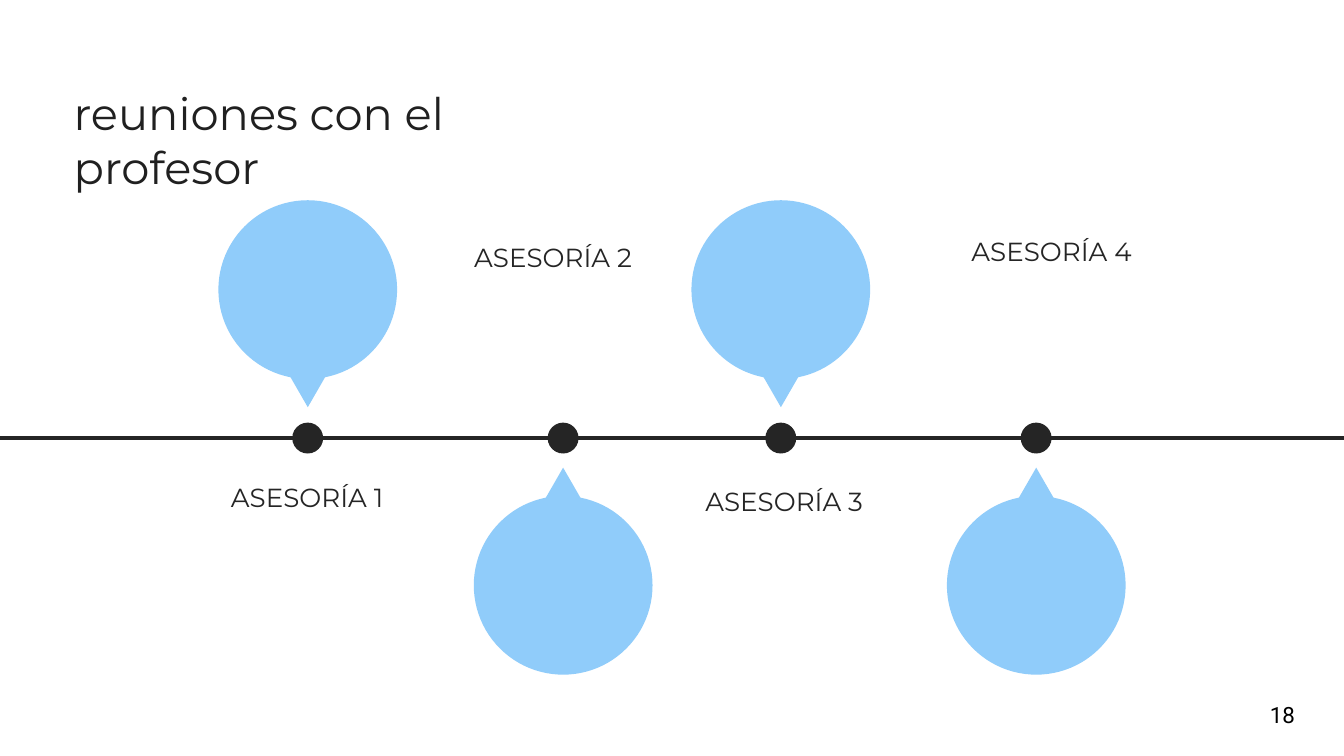
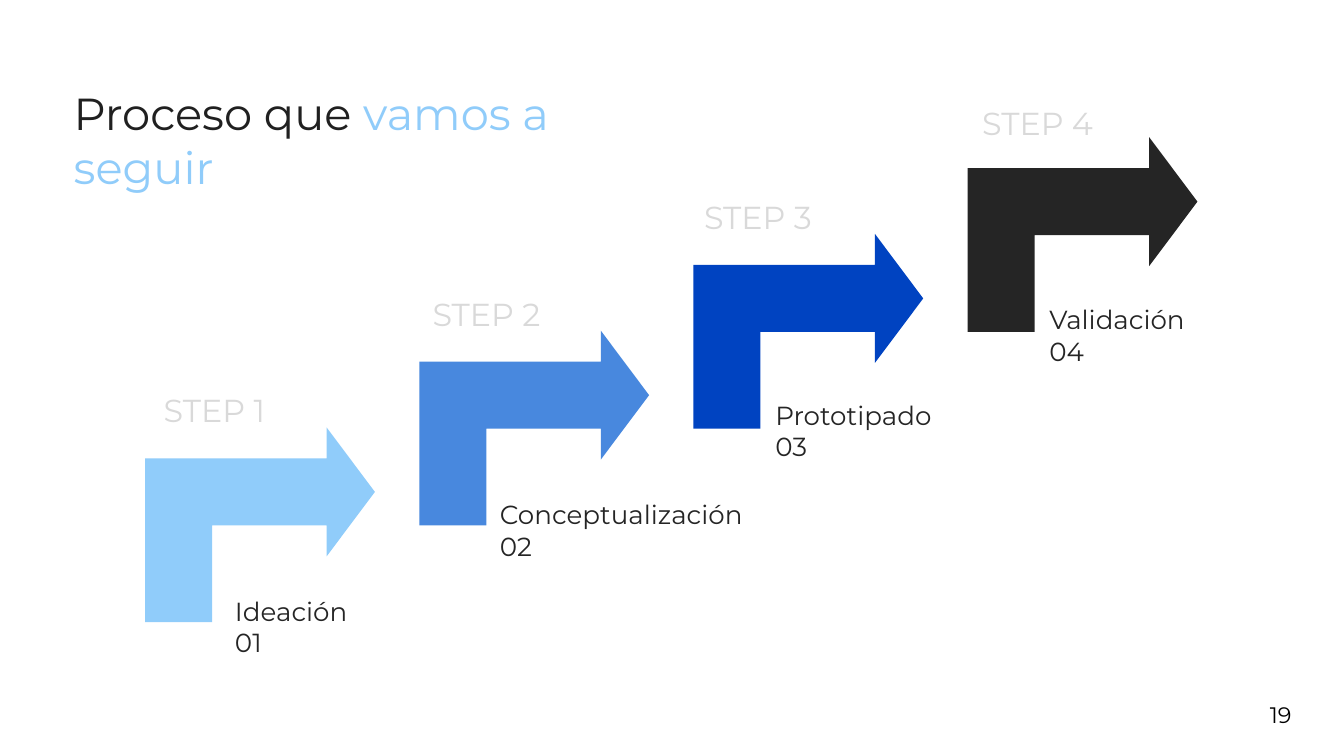
from lxml import etree
from pptx import Presentation
from pptx.dml.color import RGBColor
from pptx.enum.shapes import MSO_CONNECTOR, MSO_SHAPE
from pptx.enum.text import MSO_ANCHOR
from pptx.oxml.ns import qn
from pptx.util import Inches, Pt

ELLIPSE = MSO_SHAPE.OVAL
TRIANGLE = MSO_SHAPE.ISOSCELES_TRIANGLE
BENT_ARROW = MSO_SHAPE.BENT_UP_ARROW
STRAIGHT = MSO_CONNECTOR.STRAIGHT
TOP, MIDDLE, BOTTOM = MSO_ANCHOR.TOP, MSO_ANCHOR.MIDDLE, MSO_ANCHOR.BOTTOM

DARK = RGBColor(0x25, 0x25, 0x25)
TITLE_DARK = RGBColor(0x20, 0x20, 0x20)
BLACK = RGBColor(0x00, 0x00, 0x00)
WHITE = RGBColor(0xFF, 0xFF, 0xFF)
GRAY = RGBColor(0xD9, 0xD9, 0xD9)
LIGHT_BLUE = RGBColor(0x90, 0xCC, 0xFA)
MID_BLUE = RGBColor(0x48, 0x88, 0xDE)
DEEP_BLUE = RGBColor(0x00, 0x43, 0xC1)

MAIN_FONT = "Montserrat"
NUMBER_FONT = "Roboto"

SLIDE_WIDTH = Inches(10)
SLIDE_HEIGHT = SLIDE_WIDTH * 9 // 16

LINE_Y = 3.26
BALL_SIZE = 1.33
TIP_WIDTH, TIP_HEIGHT = 0.38, 0.33
DOT_SIZE = 0.23
ARROW_WIDTH, ARROW_HEIGHT = 1.45, 1.71
ARROW_STEP_X, ARROW_STEP_Y = 2.04, 0.72

# centre of the dot, bubble above the line, label, label box (left, top, width)
MEETINGS = [
    (2.29, True, "ASESORÍA 1", (1.62, 3.48, 1.41)),
    (4.19, False, "ASESORÍA 2", (3.43, 1.70, 1.5)),
    (5.81, True, "ASESORÍA 3", (5.15, 3.51, 1.5)),
    (7.71, False, "ASESORÍA 4", (7.13, 1.65, 1.5)),
]

# colour, name, name box (left, top, width, height), step label (left, top)
STEPS = [
    (LIGHT_BLUE, "Ideación", (1.65, 4.33, 1.92, 0.79), (1.12, 2.81)),
    (MID_BLUE, "Conceptualización", (3.62, 3.61, 2.12, 1.19), (3.12, 2.09)),
    (DEEP_BLUE, "Prototipado", (5.67, 2.87, 1.92, 1.19), (5.14, 1.37)),
    (DARK, "Validación", (7.71, 2.16, 1.92, 1.19), (7.21, 0.67)),
]


def add_text(slide, left, top, width, height, runs, size,
             font=MAIN_FONT, anchor=TOP):
    """Add a one-paragraph text box; runs is a list of (text, colour)."""
    box = slide.shapes.add_textbox(Inches(left), Inches(top),
                                   Inches(width), Inches(height))
    frame = box.text_frame
    frame.word_wrap = True
    frame.vertical_anchor = anchor
    frame.margin_left = frame.margin_right = Inches(0.1)
    frame.margin_top = frame.margin_bottom = Inches(0.1)
    paragraph = frame.paragraphs[0]
    paragraph.font.name = font
    paragraph.font.size = Pt(size)
    if len(runs) == 1:
        paragraph.text, paragraph.font.color.rgb = runs[0]
        return
    for text, color in runs:
        run = paragraph.add_run()
        run.text = text
        run.font.color.rgb = color


def add_filled(shapes, kind, left, top, width, height, color, rotation=0):
    shape = shapes.add_shape(kind, Inches(left), Inches(top),
                             Inches(width), Inches(height))
    shape.shadow.inherit = False
    shape.fill.solid()
    shape.fill.fore_color.rgb = color
    shape.line.fill.background()
    shape.rotation = rotation
    return shape


def add_bubble(slide, center, above):
    """Group a ball with a tip that points at the timeline."""
    ball_top, tip_top, tip_turn = (1.49, 2.7, 180) if above else (3.69, 3.48, 0)
    shapes = slide.shapes.add_group_shape().shapes
    add_filled(shapes, ELLIPSE, center - BALL_SIZE / 2, ball_top,
               BALL_SIZE, BALL_SIZE, LIGHT_BLUE, 180 - tip_turn)
    add_filled(shapes, TRIANGLE, center - TIP_WIDTH / 2, tip_top,
               TIP_WIDTH, TIP_HEIGHT, LIGHT_BLUE, tip_turn)


def add_timeline(slide):
    line = slide.shapes.add_connector(STRAIGHT, Inches(-0.01), Inches(LINE_Y),
                                      Inches(10.02), Inches(LINE_Y))
    line.line.color.rgb = DARK
    line.line.width = Pt(2.25)
    etree.SubElement(line.element.spPr, qn("a:effectLst"))


def add_step_arrow(slide, index, color):
    arrow = add_filled(slide.shapes, BENT_ARROW,
                       1.21 + index * ARROW_STEP_X, 3.05 - index * ARROW_STEP_Y,
                       ARROW_WIDTH, ARROW_HEIGHT, color, 90)
    arrow.element.spPr.find(qn("a:xfrm")).set("flipH", "1")
    for position, value in enumerate((0.344, 0.331, 0.248)):
        arrow.adjustments[position] = value


def add_slide(presentation):
    slide = presentation.slides.add_slide(presentation.slide_layouts[6])
    slide.background.fill.solid()
    slide.background.fill.fore_color.rgb = WHITE
    return slide


def add_title(slide, width, runs):
    add_text(slide, 0.45, 0.41, width, 1.13, runs, 24, anchor=BOTTOM)


def add_page_number(slide, number, font):
    add_text(slide, 9.35, 5.1, 0.6, 0.43, [(number, BLACK)], 12, font, MIDDLE)


def build_meetings(presentation):
    slide = add_slide(presentation)
    for center, above, label, (left, top, width) in MEETINGS:
        add_bubble(slide, center, above)
        add_text(slide, left, top, width, 0.37, [(label, DARK)], 14)
    add_timeline(slide)
    for center, *_ in MEETINGS:
        add_filled(slide.shapes, ELLIPSE, center - DOT_SIZE / 2,
                   LINE_Y - DOT_SIZE / 2, DOT_SIZE, DOT_SIZE, DARK)
    add_title(slide, 4.14, [("reuniones con el profesor", TITLE_DARK)])
    add_page_number(slide, "18", NUMBER_FONT)


def build_process(presentation):
    slide = add_slide(presentation)
    for index, (color, name, name_box, step_corner) in enumerate(STEPS):
        number = index + 1
        add_step_arrow(slide, index, color)
        add_text(slide, *name_box, [(f"{name}\v{number:02}", DARK)], 14)
        add_text(slide, *step_corner, 1.77, 0.37, [(f"STEP {number}", GRAY)], 17)
    add_page_number(slide, "19", MAIN_FONT)
    add_title(slide, 4.38, [("Proceso que ", TITLE_DARK),
                            ("vamos a seguir", LIGHT_BLUE)])


def main():
    presentation = Presentation()
    presentation.slide_width = SLIDE_WIDTH
    presentation.slide_height = SLIDE_HEIGHT
    build_meetings(presentation)
    build_process(presentation)
    presentation.save("out.pptx")


if __name__ == "__main__":
    main()
